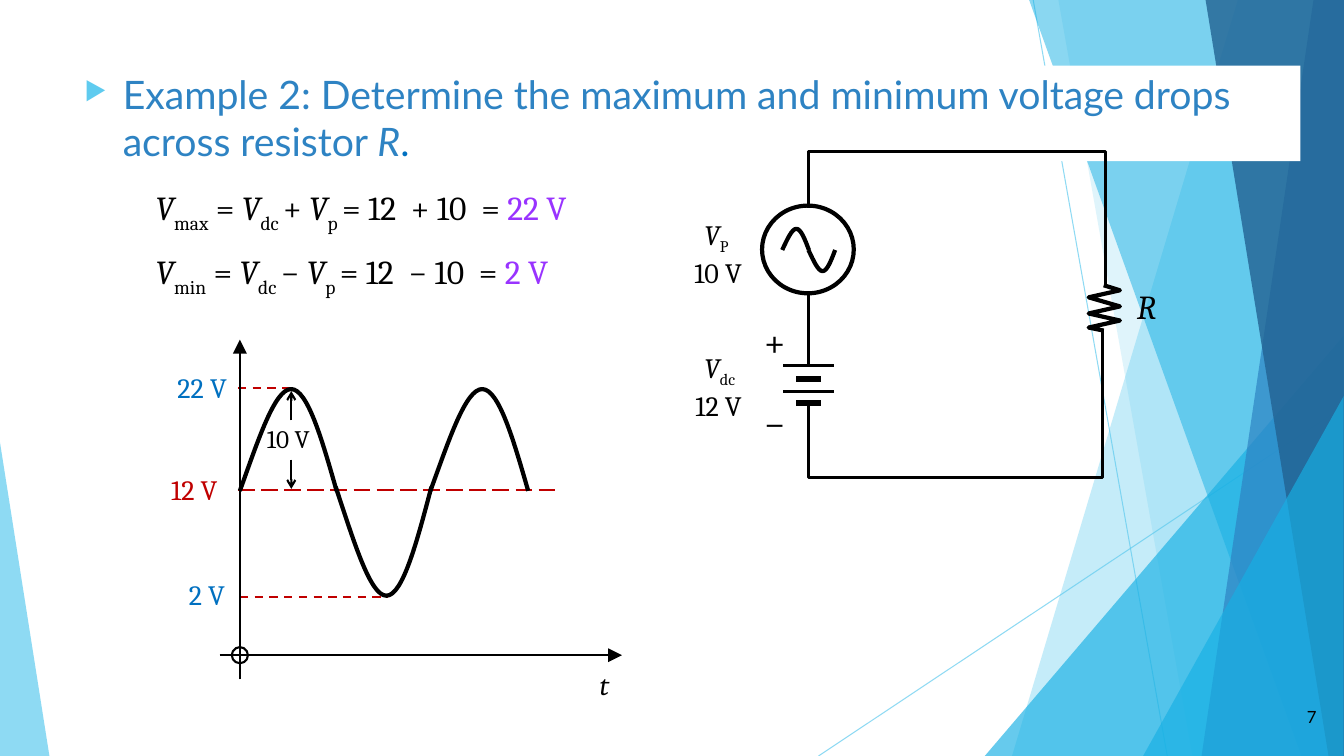
from dataclasses import dataclass
from typing import NamedTuple, Sequence

from lxml.etree import SubElement
from pptx import Presentation
from pptx.dml.color import RGBColor
from pptx.enum.dml import MSO_LINE
from pptx.enum.shapes import MSO_CONNECTOR, MSO_SHAPE
from pptx.enum.text import MSO_ANCHOR, PP_ALIGN
from pptx.oxml.ns import qn
from pptx.util import Inches, Pt

CELL = Inches(0.1)
COLS, ROWS = 133.33, 75


@dataclass(frozen=True)
class Theme:
    ink: str = "000000"
    paper: str = "FFFFFF"
    sky: str = "5FCBEF"
    aqua: str = "17B0E4"
    blue: str = "2E83C3"
    navy: str = "226292"
    level: str = "0070C0"
    red: str = "C00000"
    violet: str = "9933FF"
    head: str = "Lato"
    body: str = "Cambria"
    title: int = 28
    math: int = 24
    label: int = 20
    small: int = 18
    page: int = 12
    thin: float = 1.5
    wire: float = 2.25
    bold: float = 3
    plate: float = 4.5


T = Theme()


class Bit(NamedTuple):
    text: str
    color: str = T.ink
    slant: bool = False
    base: int = 0


class Line(NamedTuple):
    x1: float
    y1: float
    x2: float
    y2: float
    width: float = T.thin
    color: str = T.ink
    dash: MSO_LINE | None = None
    tip: str = ""
    span: str = "med"
    alpha: int = 100


class Facet(NamedTuple):
    """A band from its slanted left edge to the right side of the slide."""
    top: float
    foot: float
    color: str
    alpha: int


class Wedge(NamedTuple):
    x: float
    y: float
    w: float
    peak: float
    color: str
    alpha: int


class Wave(NamedTuple):
    """Half a swing; a negative rise gives a trough."""
    x: float
    y: float
    w: float
    rise: float


class Ring(NamedTuple):
    x: float
    y: float
    w: float
    h: float
    width: float


class Path(NamedTuple):
    spots: Sequence[tuple[float, float]]
    width: float


class Label(NamedTuple):
    x: float
    y: float
    w: float
    h: float
    rows: Sequence[Sequence[Bit]]
    size: int = T.label
    align: PP_ALIGN = PP_ALIGN.LEFT
    wrap: bool = True
    gap: float = 0
    font: str = T.body


def grid(cells: float) -> int:
    return round(cells * CELL)


def rgb(code: str) -> RGBColor:
    return RGBColor.from_string(code)


def fade(shape, alpha: int) -> None:
    for color in shape._element.spPr.iter(qn("a:srgbClr")):
        SubElement(color, qn("a:alpha"), val=str(alpha * 1000))


def paint(shape, color: str, alpha: int = 100) -> None:
    shape.shadow.inherit = False
    shape.fill.solid()
    shape.fill.fore_color.rgb = rgb(color)
    shape.line.fill.background()
    if alpha < 100:
        fade(shape, alpha)


def stroke(shape, width: float) -> None:
    shape.shadow.inherit = False
    shape.fill.background()
    shape.line.color.rgb = rgb(T.ink)
    shape.line.width = Pt(width)


def trace(shapes, spots: Sequence[tuple[float, float]], close: bool):
    first, *rest = [(grid(x), grid(y)) for x, y in spots]
    pen = shapes.build_freeform(*first)
    pen.add_line_segments(rest, close=close)
    return pen.convert_to_shape()


def draw_line(shapes, item: Line) -> None:
    line = shapes.add_connector(MSO_CONNECTOR.STRAIGHT, *map(grid, item[:4]))
    line.line.color.rgb = rgb(item.color)
    line.line.width = Pt(item.width)
    if item.dash:
        line.line.dash_style = item.dash
    if item.tip:
        SubElement(line.line._get_or_add_ln(), qn("a:tailEnd"),
                   type=item.tip, w=item.span, len=item.span)
    if item.alpha < 100:
        fade(line, item.alpha)
    SubElement(line._element.spPr, qn("a:effectLst"))


def draw_facet(shapes, item: Facet) -> None:
    spots = [(item.top, 0), (COLS, 0), (COLS, ROWS), (item.foot, ROWS)]
    paint(trace(shapes, spots, True), item.color, item.alpha)


def draw_wedge(shapes, item: Wedge) -> None:
    wedge = shapes.add_shape(MSO_SHAPE.ISOSCELES_TRIANGLE, grid(item.x), grid(item.y),
                             grid(item.w), grid(ROWS - item.y))
    wedge.adjustments[0] = item.peak
    paint(wedge, item.color, item.alpha)


def draw_wave(shapes, item: Wave) -> None:
    """Trace the control points, then join each three of them into a cubic curve."""
    shares = [(0, 0), (.19, .5), (.36, 1), (.53, 1), (.7, 1), (.85, .5), (1, 0)]
    wave = trace(shapes, [(item.x + u * item.w, item.y - v * item.rise)
                          for u, v in shares], False)
    track = next(wave._element.iter(qn("a:path")))
    legs = track.findall(qn("a:lnTo"))
    for start in (0, 3):
        curve = SubElement(track, qn("a:cubicBezTo"))
        for leg in legs[start:start + 3]:
            curve.append(leg[0])
            track.remove(leg)
    stroke(wave, T.bold)


def draw_path(shapes, item: Path) -> None:
    stroke(trace(shapes, item.spots, False), item.width)


def draw_ring(shapes, item: Ring) -> None:
    stroke(shapes.add_shape(MSO_SHAPE.OVAL, *map(grid, item[:4])), item.width)


def draw_label(shapes, item: Label):
    box = shapes.add_textbox(*map(grid, item[:4]))
    frame = box.text_frame
    frame.word_wrap = item.wrap
    for n, row in enumerate(item.rows):
        para = frame.add_paragraph() if n else frame.paragraphs[0]
        para.alignment = item.align
        if n and item.gap:
            para.space_before = Pt(item.gap)
        for bit in row:
            run = para.add_run()
            run.text = bit.text
            run.font.name, run.font.size = item.font, Pt(item.size)
            run.font.italic = bit.slant
            run.font.color.rgb = rgb(bit.color)
            if bit.base:
                run._r.get_or_add_rPr().set("baseline", str(bit.base * 1000))
    return box


def draw_title(shapes) -> None:
    words = "Example 2: Determine the maximum and minimum voltage drops across resistor "
    row = [Bit(words, T.blue), Bit("R", T.blue, True), Bit(".", T.level)]
    box = draw_label(shapes, Label(7.4, 6.5, 121.6, 9.5, [row], T.title, font=T.head))
    paint(box, T.paper)
    props = box.text_frame.paragraphs[0]._p.get_or_add_pPr()
    props.set("marL", str(grid(3.8)))
    props.set("indent", str(-grid(3.8)))
    SubElement(SubElement(props, qn("a:buClr")), qn("a:srgbClr"), val=T.sky)
    SubElement(props, qn("a:buSzPct"), val="65000")
    SubElement(props, qn("a:buChar"), char="▶")


def volt(sub: str, base: int = -30) -> list[Bit]:
    return [Bit("V", slant=True), Bit(sub, base=base)]


def sum_row(name: str, sign: str, total: str) -> list[Bit]:
    return [*volt(name), Bit(" = "), *volt("dc "), Bit(f"{sign} "), *volt("p "),
            Bit(f"= 12  {sign} 10  = "), Bit(total, T.violet)]


MID, RIGHT = PP_ALIGN.CENTER, PP_ALIGN.RIGHT
SCENE = [
    Line(102.5, 0, 115.8, ROWS, .75, T.sky, alpha=70),
    Line(COLS, 40.3, 81.2, ROWS, .75, T.sky, alpha=70),
    Facet(122.8, 100.4, T.sky, 36), Facet(105, 118.3, T.sky, 20),
    Wedge(97.7, 33.3, 35.6, 1, T.aqua, 66),
    Facet(102.1, 129.1, T.aqua, 50), Facet(130.3, 119.2, T.blue, 70),
    Facet(119.6, 131.8, T.navy, 80),
    Wedge(113.4, 39.3, 19.9, 1, T.aqua, 66), Wedge(0, 43.9, 4.9, 0, T.sky, 70),
]
GRAPH = [
    Label(14.45, 18.05, 70.1, 11.1, [sum_row("max", "+", "22 V"), sum_row("min", "−", "2 V")],
          T.math, gap=12),
    Line(23.6, 48.6, 55.2, 48.6, color=T.red, dash=MSO_LINE.LONG_DASH),
    Label(16, 46.4, 7.4, 4.4, [[Bit("12 V", T.red)]], wrap=False),
    Line(23.8, 59.2, 38.5, 59.2, color=T.red, dash=MSO_LINE.DASH),
    Label(16.1, 36.3, 7.4, 4.4, [[Bit("22 V", T.level)]], align=RIGHT, wrap=False),
    Line(23.6, 38.5, 29.1, 38.5, color=T.red, dash=MSO_LINE.DASH),
    Label(17.4, 56.8, 5.9, 4.4, [[Bit("2 V", T.level)]], align=RIGHT, wrap=False),
    Wave(23.8, 48.7, 9.6, 10.1), Wave(33.3, 48.3, 9.5, -10.8),
    Line(28.9, 41.7, 28.9, 38.8, tip="arrow"), Line(28.9, 45.6, 28.9, 48.5, tip="arrow"),
    Label(25.5, 41.5, 7.5, 4, [[Bit("10 V")]], T.small),
    Wave(42.7, 48.7, 9.7, 10.1),
    Line(21.8, 65, 61.7, 65, tip="triangle", span="lg"),
    Line(23.8, 67.4, 23.8, 33.7, tip="triangle", span="lg"),
    Ring(23, 64.2, 1.6, 1.6, T.thin),
    Label(58.5, 65.7, 4.2, 4.3, [[Bit("t", slant=True)]]),
]
LOOP = [
    Label(111.8, 27.9, 4.1, 5.1, [[Bit("R", slant=True)]], T.math, wrap=False),
    Ring(75.6, 20.4, 9.1, 8.7, T.bold),
    Label(74.8, 31, 4.2, 13.8, [[Bit("+")], [Bit("−")]], T.title, wrap=False, gap=24),
    Line(80.2, 36.2, 80.2, 29.2, T.wire),
    Path([(80.2, 20.6), (80.2, 15), (109.7, 15), (109.7, 28.3)], T.wire),
    Path([(80.2, 40.2), (80.2, 47.4), (109.4, 47.4), (109.4, 32.7)], T.wire),
    Path([(109.5, 28.3), (111.1, 28.8), (108, 29.5), (111.1, 30.4), (108, 31.1),
          (111.1, 31.8), (108, 32.5), (109.5, 32.8)], T.bold),
    Wave(77.6, 24.8, 2.65, 2.1), Wave(80.2, 24.8, 2.65, -2.1),
    Label(65.1, 21.1, 12.3, 7.7, [volt("P ", -25), [Bit("10 V")]], align=MID),
    Label(64.8, 34.3, 13.6, 8.6, [volt("dc ", -25), [Bit("12 V ")]], align=MID),
    *(Line(79, y, 81.4, y, T.plate) for y in (37.6, 40)),
    *(Line(77.7, y, 82.7, y, T.wire) for y in (36.3, 38.8)),
]
DRAW = {Line: draw_line, Facet: draw_facet, Wedge: draw_wedge, Wave: draw_wave,
        Ring: draw_ring, Path: draw_path, Label: draw_label}


def main() -> None:
    deck = Presentation()
    deck.slide_width, deck.slide_height = grid(COLS), grid(ROWS)
    shapes = deck.slides.add_slide(deck.slide_layouts[6]).shapes
    for item in SCENE:
        DRAW[type(item)](shapes, item)
    draw_title(shapes)
    for item in GRAPH + LOOP:
        DRAW[type(item)](shapes, item)
    page = Label(124.1, 69.1, 7.5, 4, [[Bit("7")]], T.page, RIGHT, font=T.head)
    draw_label(shapes, page).text_frame.vertical_anchor = MSO_ANCHOR.MIDDLE
    deck.save("out.pptx")


if __name__ == "__main__":
    main()
